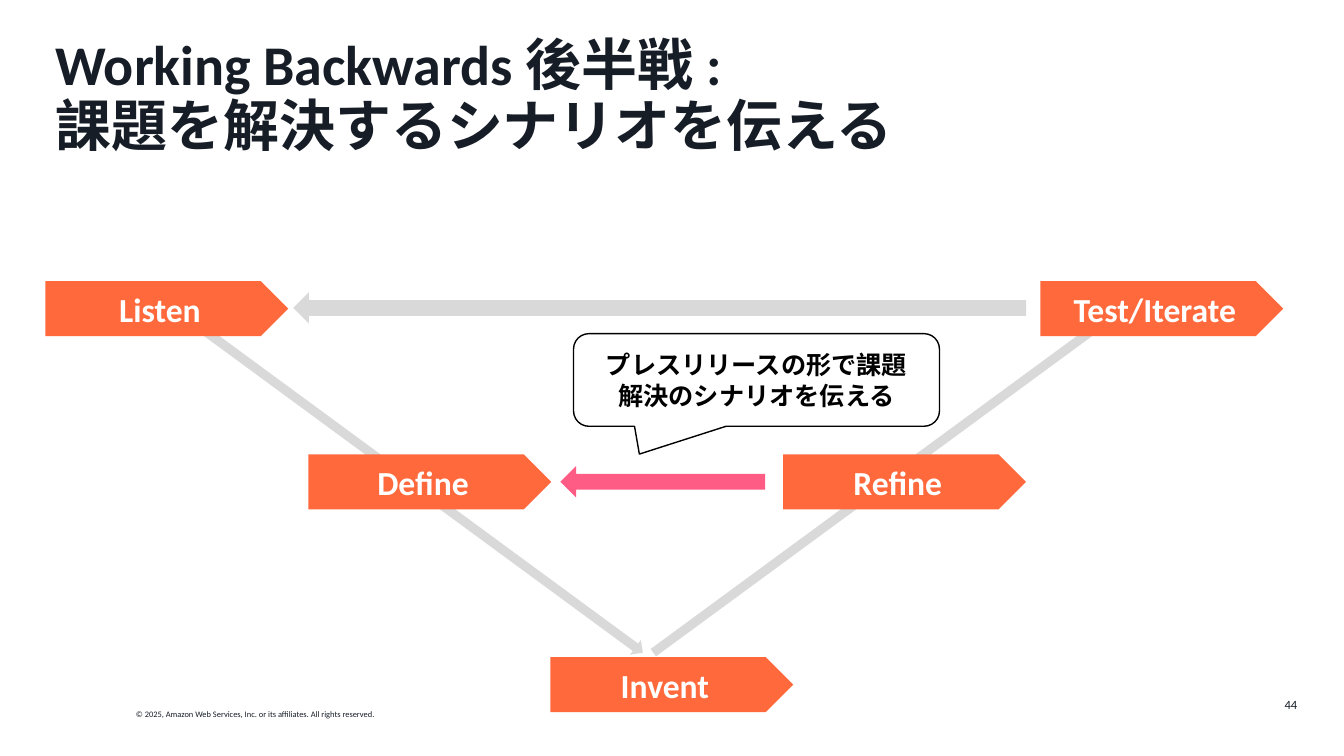
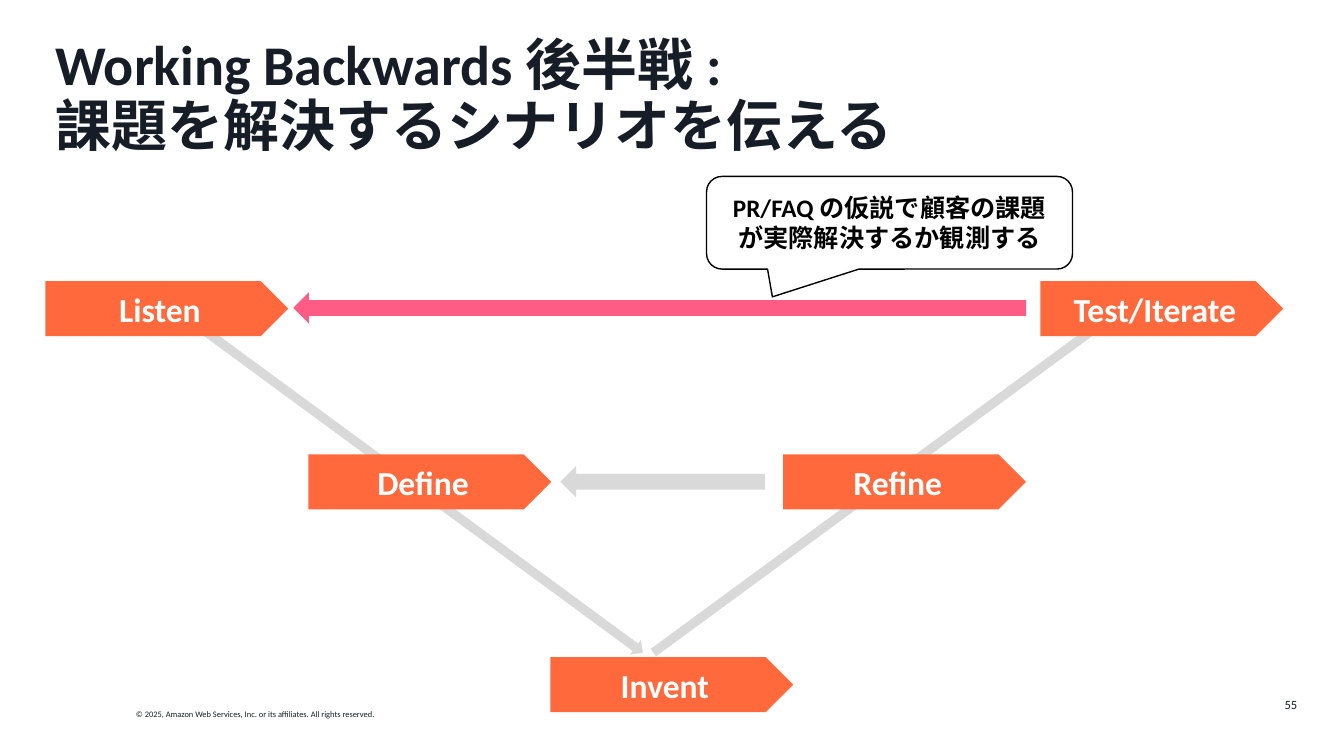
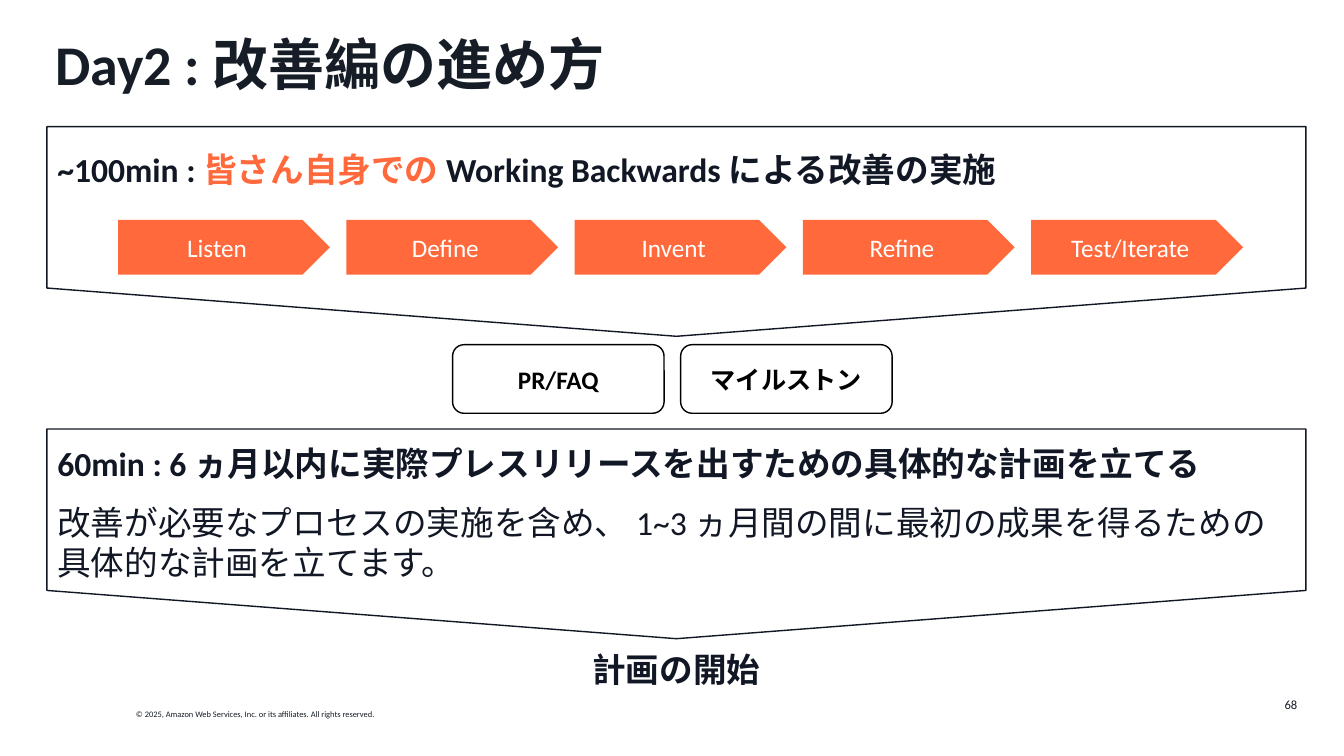
from pptx import Presentation
from pptx.dml.color import RGBColor as Rgb
from pptx.enum.shapes import MSO_SHAPE as Kind
from pptx.enum.text import MSO_ANCHOR as Anchor, MSO_AUTO_SIZE as Fit, PP_ALIGN as Align
from pptx.util import Pt

HUE = {
    "ink": "161D26", "navy": "111724", "black": "000000", "white": "FFFFFF",
    "orange": "FF693C", "pink": "FF5C85", "grey": "D9D9D9",
}
FONT = "Calibri"
PLATE = (173.5, 39.2)
GAP = 11.8
SLOPE = 36.3
STEPS = ["Listen", "Define", "Invent", "Refine", "Test/Iterate"]


def tint(name):
    return Rgb.from_string(HUE[name])


def style(run, size, ink, bold):
    font = run.font
    font.name, font.size, font.bold = FONT, Pt(size), bold
    font.color.rgb = tint(ink)


def write(shape, words, size, ink, bold=False, align=Align.CENTER, anchor=Anchor.MIDDLE):
    frame = shape.text_frame
    frame.text = words
    frame.word_wrap = True
    frame.auto_size = Fit.NONE
    frame.vertical_anchor = anchor
    for para in frame.paragraphs:
        para.alignment = align
        for run in para.runs:
            style(run, size, ink, bold)
    return frame


def draw(slide, kind, box, fill=None, line=None, turn=0):
    shape = slide.shapes.add_shape(kind, *map(Pt, box))
    shape.shadow.inherit = False
    shape.rotation = turn
    if fill:
        shape.fill.solid()
        shape.fill.fore_color.rgb = tint(fill)
    else:
        shape.fill.background()
    if line:
        shape.line.color.rgb = tint(line)
        shape.line.width = Pt(1)
    else:
        shape.line.fill.background()
    return shape


def label(slide, box, words, size, ink, bold=False, align=Align.LEFT, anchor=Anchor.TOP):
    area = slide.shapes.add_textbox(*map(Pt, box))
    return write(area, words, size, ink, bold, align, anchor)


def note(slide, box, words, bold=False, align=Align.LEFT):
    frame = label(slide, box, words, 24, "navy", bold, align)
    frame.margin_left = frame.margin_right = 0
    return frame


def start(deck, words, page):
    slide = deck.slides.add_slide(deck.slide_layouts[5])
    title = slide.shapes.title
    title.left, title.top, title.width, title.height = map(Pt, (32.4, 23, 901.4, 49))
    frame = write(title, words, 40, "ink", True, Align.LEFT, Anchor.TOP)
    frame.paragraphs[0].line_spacing = 0.9
    legal = "© 2025, Amazon Web Services, Inc. or its affiliates. All rights reserved."
    label(slide, (90, 503.3, 206.6, 14.4), legal, 6, "ink").word_wrap = False
    label(slide, (717.8, 488.9, 216, 28.8), str(page), 9, "ink",
          align=Align.RIGHT, anchor=Anchor.MIDDLE)
    return slide


def vee(slide, box, top, low):
    left, head, wide, high = box
    span, tall = PLATE
    for x, turn in ((393.8, -SLOPE), (49.7, SLOPE)):
        draw(slide, Kind.RIGHT_ARROW, (left + x, head + 135.3, 417.6, 13), "grey", turn=turn)
    mid = 123.8
    spots = [(0, 0), (187.9, mid), (360.7, high - tall), (527, mid), (wide - span, 0)]
    for word, (x, y) in zip(STEPS, spots):
        plate = draw(slide, Kind.PENTAGON, (left + x, head + y, span, tall), "orange")
        write(plate, word, 24, "white", True)
    for x, y, size, fill in ((367.9, mid + 8.4, 146.2, low), (177.1, 8, 523.4, top)):
        draw(slide, Kind.LEFT_ARROW, (left + x, head + y, size, 22.4), fill)


def bubble(slide, box, words):
    shape = draw(slide, Kind.ROUNDED_RECTANGULAR_CALLOUT, box, line="black")
    shape.adjustments[0] = -0.32
    shape.adjustments[1] = 0.8
    write(shape, words, 18, "black", True)


def panel(slide, box):
    left, top, wide, high = box
    shift = (wide - high) / 2
    shape = draw(slide, Kind.PENTAGON, (left + shift, top - shift, high, wide),
                 line="navy", turn=90)
    shape.adjustments[0] = 0.23


def row(slide, box, kind, words, fill, ink, line=None, bold=False):
    left, top, wide, high = box
    cell = (wide - GAP * (len(words) - 1)) / len(words)
    for i, word in enumerate(words):
        spot = (left + i * (cell + GAP), top, cell, high)
        write(draw(slide, kind, spot, fill, line), word, 18, ink, bold)


def work(slide, box):
    left, top, wide, high = box
    panel(slide, box)
    row(slide, (left + 50.8, top + 66.6, 803.6, 39.2), Kind.PENTAGON, STEPS, "orange", "white")
    frame = note(slide, (left + 7.5, top + 12.6, 767.5, 36), "~100min : ", True)
    for words, ink in (("皆さん自身での ", "orange"),
                       ("Working Backwards による改善の実施", "navy")):
        run = frame.paragraphs[0].add_run()
        run.text = words
        style(run, 24, ink, True)


def plan(slide, box):
    left, top, wide, high = box
    panel(slide, box)
    note(slide, (left + 7.5, top + 6.1, 877.7, 36),
         "60min : 6 ヵ月以内に実際プレスリリースを出すための具体的な計画を立てる", True)
    note(slide, (left + 7.5, top + 48.6, 885.6, 65.5),
         "改善が必要なプロセスの実施を含め、 1~3 ヵ月間の間に最初の成果を得るための具体的な計画を立てます。")


def main():
    deck = Presentation()
    deck.slide_width, deck.slide_height = Pt(960), Pt(540)
    scenes = [
        (44, "grey", "pink", (409.7, 238.3), "プレスリリースの形で課題\n解決のシナリオを伝える"),
        (55, "pink", "grey", (504.7, 126), "PR/FAQ の仮説で顧客の課題が実際解決するか観測する"),
    ]
    for page, top, low, spot, words in scenes:
        slide = start(deck, "Working Backwards 後半戦 : \v課題を解決するシナリオを伝える", page)
        vee(slide, (32.4, 200.8, 884.2, 307.8), top, low)
        bubble(slide, (*spot, 261.4, 66.2), words)

    slide = start(deck, "Day2 : 改善編の進め方", 68)
    work(slide, (33.5, 90.4, 899.3, 149.8))
    row(slide, (323.3, 246.2, 314, 49), Kind.ROUNDED_RECTANGLE,
        ["PR/FAQ", "マイルストン"], "white", "black", "black", True)
    plan(slide, (33.5, 306.4, 899.3, 149.8))
    note(slide, (99.4, 460, 767.5, 36), "計画の開始", True, Align.CENTER)
    deck.save("out.pptx")


if __name__ == "__main__":
    main()
